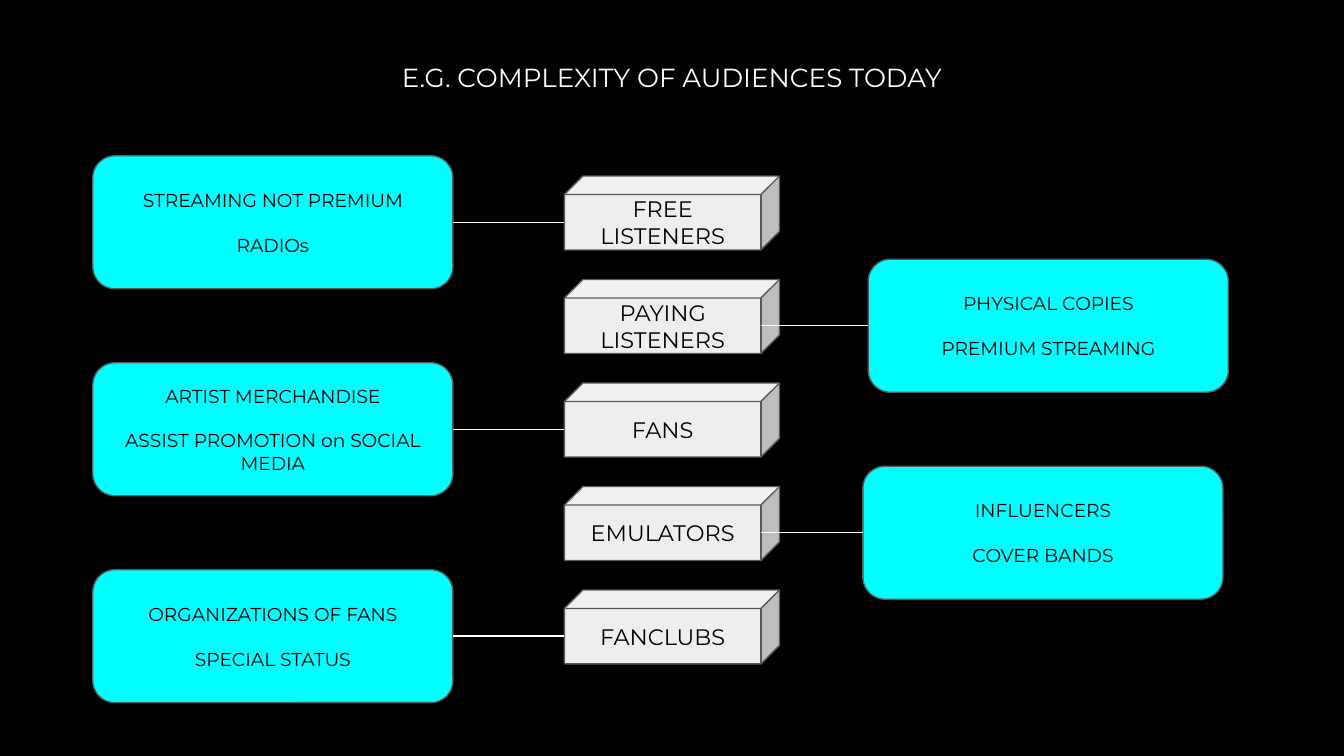
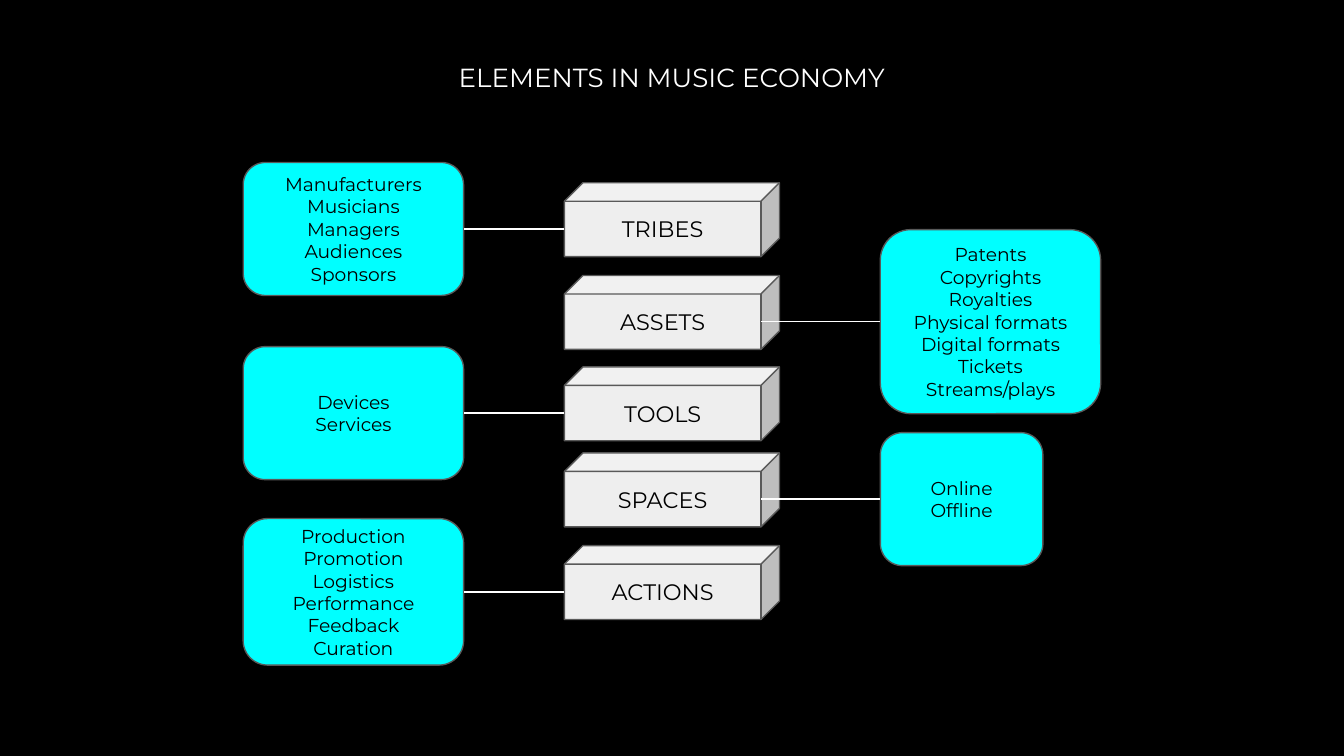
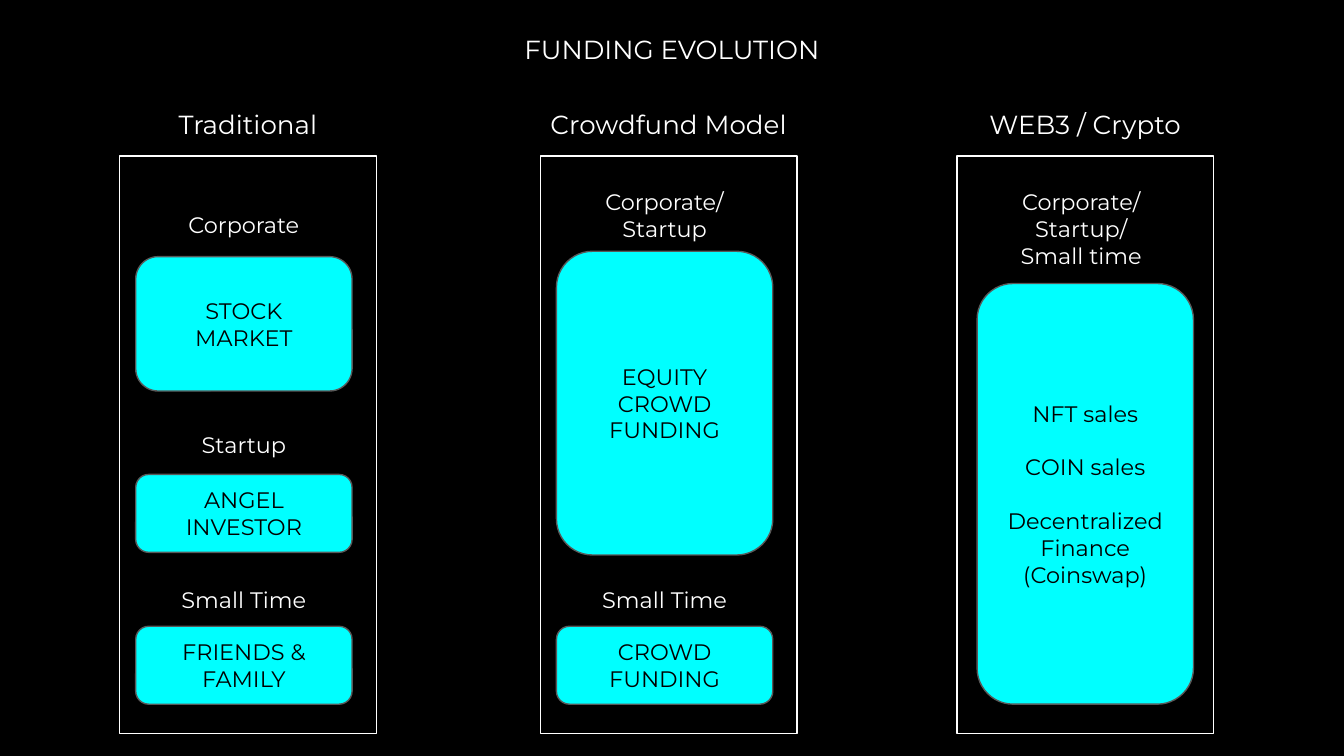
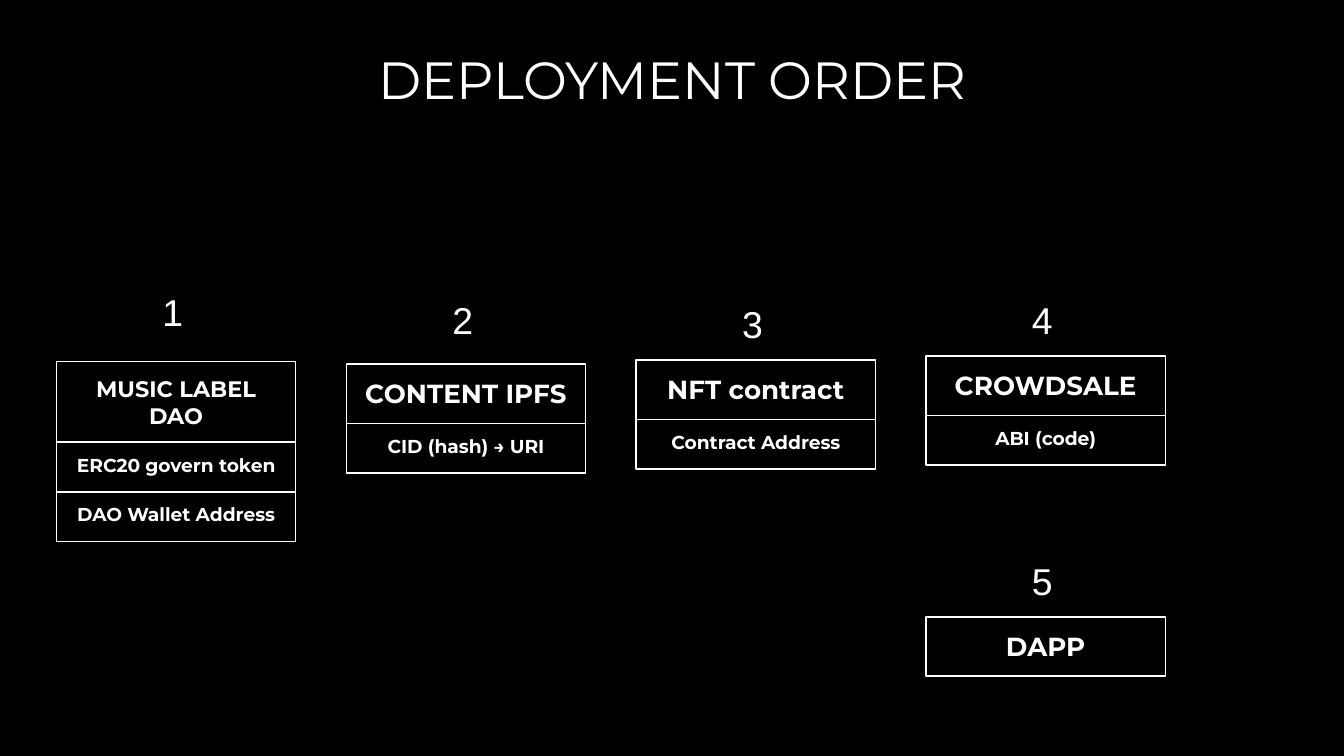
from lxml import etree
from pptx import Presentation
from pptx.dml.color import RGBColor
from pptx.enum.shapes import MSO_CONNECTOR, MSO_SHAPE
from pptx.enum.text import MSO_ANCHOR, MSO_AUTO_SIZE, PP_ALIGN
from pptx.oxml.ns import qn
from pptx.util import Inches, Pt

CUBE = MSO_SHAPE.CUBE
RECTANGLE = MSO_SHAPE.RECTANGLE
ROUNDED = MSO_SHAPE.ROUNDED_RECTANGLE
ALTERNATE_PROCESS = MSO_SHAPE.FLOWCHART_ALTERNATE_PROCESS
STRAIGHT = MSO_CONNECTOR.STRAIGHT
TOP, MIDDLE = MSO_ANCHOR.TOP, MSO_ANCHOR.MIDDLE
CENTER, LEFT = PP_ALIGN.CENTER, PP_ALIGN.LEFT
GROW = MSO_AUTO_SIZE.SHAPE_TO_FIT_TEXT

BLACK = RGBColor(0x00, 0x00, 0x00)
WHITE = RGBColor(0xFF, 0xFF, 0xFF)
CYAN = RGBColor(0x00, 0xFF, 0xFF)
PALE_GRAY = RGBColor(0xEE, 0xEE, 0xEE)
DARK_GRAY = RGBColor(0x59, 0x59, 0x59)

BODY_FONT = "Montserrat"
NUMBER_FONT = "Arial"
SLIDE_WIDTH = 10
SLIDE_HEIGHT = SLIDE_WIDTH * 9 / 16
MARGIN = Inches(0.1)
LINE_WIDTH = Pt(0.75)
LINE_SPACING = 1.2
LEFT_SIDE, RIGHT_SIDE = 1, 3

CUBE_LEFT, CUBE_WIDTH, CUBE_HEIGHT = 4.2, 1.6, 0.55
CUBE_DEPTH = CUBE_HEIGHT / 4

FRAME_TOP, FRAME_WIDTH, FRAME_HEIGHT = 1.16, 1.91, 4.3
HEADING_OVERHANG = 0.1
SOURCE_WIDTH, SOURCE_INSET = 1.61, 0.12

CARD_LEFT, LAST_CARD_LEFT, CARD_WIDTH = 0.42, 6.89, 1.78
CARD_PITCH = (LAST_CARD_LEFT - CARD_LEFT) / 3

AUDIENCES = [
    (1.31, "FREE\nLISTENERS", (0.69, 2.68, 0.99), "STREAMING NOT PREMIUM\n\nRADIOs"),
    (2.08, "PAYING\nLISTENERS", (6.46, 2.68, 0.99), "PHYSICAL COPIES\n\nPREMIUM STREAMING"),
    (2.85, "FANS", (0.69, 2.68, 0.99),
     "ARTIST MERCHANDISE\n\nASSIST PROMOTION on SOCIAL MEDIA"),
    (3.62, "EMULATORS", (6.42, 2.68, 0.99), "INFLUENCERS\n\nCOVER BANDS"),
    (4.39, "FANCLUBS", (0.69, 2.68, 0.99), "ORGANIZATIONS OF FANS\n\nSPECIAL STATUS"),
]

ELEMENTS = [
    (1.36, "TRIBES", (1.81, 1.64, 0.99),
     "Manufacturers Musicians\nManagers Audiences\nSponsors"),
    (2.05, "ASSETS", (6.55, 1.64, 1.37),
     "Patents\nCopyrights Royalties\nPhysical formats\nDigital formats Tickets\nStreams/plays"),
    (2.73, "TOOLS", (1.81, 1.64, 0.99), "Devices\nServices"),
    (3.37, "SPACES", (6.55, 1.21, 0.99), "Online\nOffline"),
    (4.06, "ACTIONS", (1.81, 1.64, 1.09),
     "Production\nPromotion\nLogistics\nPerformance\nFeedback\nCuration"),
]

FUNDING = [
    (0.89, "Traditional", SOURCE_INSET, [
        (1.47, "Corporate", 1.91, 1, "STOCK MARKET"),
        (3.11, "Startup", 3.53, 0.58, "ANGEL INVESTOR"),
        (4.26, "Small Time", 4.66, 0.58, "FRIENDS & FAMILY"),
    ]),
    (4.02, "Crowdfund Model", SOURCE_INSET, [
        (1.3, "Corporate/\nStartup", 1.87, 2.26, "EQUITY CROWD\nFUNDING"),
        (4.26, "Small Time", 4.66, 0.58, "CROWD\nFUNDING"),
    ]),
    (7.12, "WEB3 / Crypto", 0.15, [
        (1.3, "Corporate/\nStartup/\nSmall time", 2.11, 3.13,
         "NFT sales\n\nCOIN sales\n\nDecentralized\nFinance (Coinswap)"),
    ]),
]

DEPLOYMENT = [
    (0, "1", 2.05, 2.69, [("MUSIC LABEL DAO", 12, 0.6), ("ERC20 govern token", 10, 0.37),
                          ("DAO Wallet Address", 10, 0.37)]),
    (1, "2", 2.11, 2.71, [("CONTENT IPFS", 14, 0.44), ("CID (hash) → URI", 10, 0.37)]),
    (2, "3", 2.14, 2.68, [("NFT contract", 14, 0.44), ("Contract Address", 10, 0.37)]),
    (3, "4", 2.11, 2.65, [("CROWDSALE", 14, 0.44), ("ABI (code)", 10, 0.37)]),
    (3, "5", 4.05, 4.59, [("DAPP", 14, 0.44)]),
]


def write(shape, text, size, color, anchor=TOP, align=CENTER, font=BODY_FONT, bold=False):
    frame = shape.text_frame
    frame.word_wrap = True
    frame.vertical_anchor = anchor
    if anchor == TOP:
        frame.auto_size = GROW
    frame.margin_left = frame.margin_right = MARGIN
    frame.margin_top = frame.margin_bottom = MARGIN
    paragraph = frame.paragraphs[0]
    for group_index, group in enumerate(text.split("\n\n")):
        for line_index, line in enumerate(group.split("\n")):
            if group_index or line_index:
                paragraph = frame.add_paragraph()
            if group_index and not line_index:
                paragraph.space_before = Pt(size * LINE_SPACING)
            paragraph.alignment = align
            run = paragraph.add_run()
            run.text = line
            run.font.name = font
            run.font.size = Pt(size)
            run.font.bold = bold
            run.font.color.rgb = color


def add_text(slide, box, text, size, **style):
    label = slide.shapes.add_textbox(*map(Inches, box))
    write(label, text, size, WHITE, **style)


def add_block(slide, kind, box, fill=None, line=DARK_GRAY):
    block = slide.shapes.add_shape(kind, *map(Inches, box))
    block.shadow.inherit = False
    if fill is None:
        block.fill.background()
    else:
        block.fill.solid()
        block.fill.fore_color.rgb = fill
    block.line.color.rgb = line
    block.line.width = LINE_WIDTH
    return block


def add_title(slide, text, top=0.36, width=4.38, height=0.44, size=14):
    add_text(slide, ((SLIDE_WIDTH - width) / 2, top, width, height), text, size)


def add_layer(slide, top, name, detail_box, detail):
    cube = add_block(slide, CUBE, (CUBE_LEFT, top, CUBE_WIDTH, CUBE_HEIGHT), PALE_GRAY)
    write(cube, name, 12, BLACK, MIDDLE)

    left, width, height = detail_box
    middle = top + (CUBE_HEIGHT + CUBE_DEPTH) / 2
    details = add_block(slide, ROUNDED, (left, middle - height / 2, width, height), CYAN)
    write(details, detail, 10, BLACK, MIDDLE)

    on_left = left < CUBE_LEFT
    start = CUBE_LEFT if on_left else CUBE_LEFT + CUBE_WIDTH - CUBE_DEPTH
    link = slide.shapes.add_connector(
        STRAIGHT, Inches(start), Inches(middle), Inches(left), Inches(middle))
    link.end_connect(details, RIGHT_SIDE if on_left else LEFT_SIDE)
    link.line.color.rgb = WHITE
    link.line.width = LINE_WIDTH
    etree.SubElement(link._element.spPr, qn("a:effectLst"))


def build_layers(slide, title, layers):
    add_title(slide, title)
    for layer in layers:
        add_layer(slide, *layer)


def add_funding_column(slide, left, heading, inset, sources):
    add_block(slide, RECTANGLE, (left, FRAME_TOP, FRAME_WIDTH, FRAME_HEIGHT), line=WHITE)
    heading_box = (left - HEADING_OVERHANG, FRAME_TOP - 0.45,
                   FRAME_WIDTH + 2 * HEADING_OVERHANG, 0.44)
    add_text(slide, heading_box, heading, 14)
    for stage_top, stage, top, height, name in sources:
        stage_height = 0.2 * (stage.count("\n") + 2)
        add_text(slide, (left + SOURCE_INSET, stage_top, SOURCE_WIDTH, stage_height), stage, 12)
        source = add_block(
            slide, ALTERNATE_PROCESS, (left + inset, top, SOURCE_WIDTH, height), CYAN)
        write(source, name, 12, BLACK, MIDDLE)


def build_funding(slide):
    add_title(slide, "FUNDING EVOLUTION", top=0.15, width=3.53)
    for column in FUNDING:
        add_funding_column(slide, *column)


def add_step(slide, column, number, number_top, top, rows):
    left = CARD_LEFT + column * CARD_PITCH
    add_text(slide, (left + 0.69, number_top, 0.39, 0.54), number, 20,
             align=LEFT, font=NUMBER_FONT)
    for text, size, height in rows:
        row = add_block(slide, RECTANGLE, (left, top, CARD_WIDTH, height), line=WHITE)
        write(row, text, size, WHITE, bold=True)
        top += height


def build_deployment(slide):
    add_title(slide, "DEPLOYMENT ORDER", top=0.25, width=9.32, height=0.79, size=28)
    for step in DEPLOYMENT:
        add_step(slide, *step)


def main():
    deck = Presentation()
    deck.slide_width = Inches(SLIDE_WIDTH)
    deck.slide_height = Inches(SLIDE_HEIGHT)
    backdrop = deck.slide_master.background.fill
    backdrop.solid()
    backdrop.fore_color.rgb = BLACK
    blank = deck.slide_layouts[6]

    build_layers(deck.slides.add_slide(blank), "E.G. COMPLEXITY OF AUDIENCES TODAY", AUDIENCES)
    build_layers(deck.slides.add_slide(blank), "ELEMENTS IN MUSIC ECONOMY", ELEMENTS)
    build_funding(deck.slides.add_slide(blank))
    build_deployment(deck.slides.add_slide(blank))
    deck.save("out.pptx")


if __name__ == "__main__":
    main()
